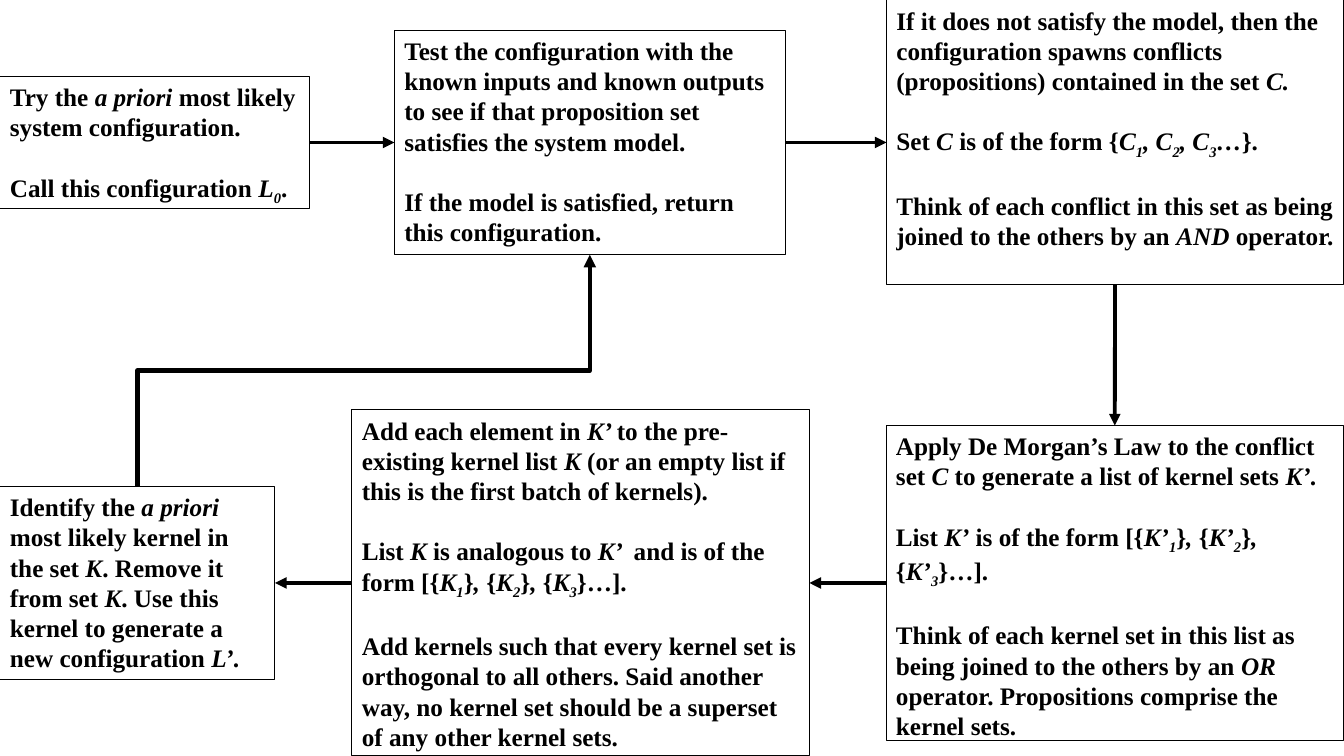
from dataclasses import dataclass

from lxml import etree
from pptx import Presentation
from pptx import util as u
from pptx.dml.color import RGBColor
from pptx.enum import shapes, text
from pptx.oxml.ns import qn


@dataclass(frozen=True)
class Theme:
    """Colours, type and line weights of the flowchart."""
    ink: RGBColor = RGBColor(0, 0, 0)
    font: str = "Times New Roman"
    size: float = 18
    gap: float = 21.5
    border: float = 0.75
    arrow: float = 2.75
    feedback: float = 3


THEME = Theme()
TOP, LEFT, BOTTOM, RIGHT = range(4)  # connection sites of a rectangle

# name: (left, top, width, height in cm), paragraphs
# *...* marks italics and ~...~ marks a subscript
STEPS = {
    "try": ((0, 1.93, 7.8, 3.32), [
        "Try the *a priori* most likely system configuration.",
        "Call this configuration *L~0~*.",
    ]),
    "test": ((9.94, 0.76, 9.85, 5.66), [
        "Test the configuration with the known inputs and known outputs to see "
        "if that proposition set satisfies the system model.",
        "If the model is satisfied, return this configuration.",
    ]),
    "conflicts": ((22.34, 0, 11.52, 7.18), [
        "If it does not satisfy the model, then the configuration spawns "
        "conflicts (propositions) contained in the set *C.*",
        "Set *C* is of the form {*C~1~, C~2~, C~3~…*}.",
        "Think of each conflict in this set as being joined to the others "
        "by an *AND* operator.",
    ]),
    "kernel sets": ((22.33, 10.72, 11.53, 7.94), [
        "Apply De Morgan’s Law to the conflict set *C *to generate a list of "
        "kernel sets *K’.*",
        "List *K’* is of the form [{*K’~1~*}*, *{*K’~2~*}*, *{*K’~3~*}…].",
        "Think of each kernel set in this list as being joined to the others "
        "by an *OR* operator. Propositions comprise the kernel sets.",
    ]),
    "kernel list": ((8.87, 10.33, 11.53, 8.72), [
        "Add each element in *K’ *to the pre-existing kernel list *K* (or an "
        "empty list if this is the first batch of kernels).",
        "List *K* is analogous to *K’ * and is of the form "
        "[{*K~1~*}*, *{*K~2~*}*, *{*K~3~*}…].",
        "Add kernels such that every kernel set is orthogonal to all others. "
        "Said another way, no kernel set should be a superset of any other "
        "kernel sets.",
    ]),
    "identify": ((0, 12.26, 6.93, 4.86), [
        "Identify the *a priori* most likely kernel in the set *K*. Remove it "
        "from set *K*. Use this kernel to generate a new configuration *L’.*",
    ]),
}

FLOW = [
    ("try", RIGHT, "test", LEFT),
    ("test", RIGHT, "conflicts", LEFT),
    ("conflicts", BOTTOM, "kernel sets", TOP),
    ("kernel sets", LEFT, "kernel list", RIGHT),
    ("kernel list", LEFT, "identify", RIGHT),
]


def add_span(para, words, italic, subscript):
    """Add one run in the theme's type."""
    span = para.add_run()
    span.text = words
    font = span.font
    font.name, font.size, font.bold = THEME.font, u.Pt(THEME.size), True
    font.italic = italic
    font.color.rgb = THEME.ink
    if subscript:
        font._element.set("baseline", "-25000")


def write_marked(para, marked):
    """Split marked wording into plain, italic and subscript runs."""
    for i, part in enumerate(marked.split("*")):
        for j, words in enumerate(part.split("~")):
            if words:
                add_span(para, words, i % 2 == 1, j % 2 == 1)


def add_step(page, bounds, paragraphs):
    """Add an outlined box whose paragraphs stand one line apart."""
    box = page.shapes.add_textbox(*(u.Cm(length) for length in bounds))
    box.line.color.rgb = THEME.ink
    box.line.width = u.Pt(THEME.border)
    frame = box.text_frame
    frame.word_wrap = True
    frame.vertical_anchor = text.MSO_ANCHOR.TOP
    for i, marked in enumerate(paragraphs):
        para = frame.add_paragraph() if i else frame.paragraphs[0]
        if i:
            para.space_before = u.Pt(THEME.gap)
        write_marked(para, marked)
    return box


def add_arrow(page, start, start_site, end, end_site, weight,
              kind=shapes.MSO_CONNECTOR.STRAIGHT):
    """Join two boxes with a connector that ends in a triangle."""
    arrow = page.shapes.add_connector(kind, 0, 0, 0, 0)
    arrow.begin_connect(start, start_site)
    arrow.end_connect(end, end_site)
    arrow.line.color.rgb = THEME.ink
    arrow.line.width = u.Pt(weight)
    etree.SubElement(arrow.line._get_or_add_ln(), qn("a:tailEnd"), type="triangle")
    etree.SubElement(arrow._element.spPr, qn("a:effectLst"))
    return arrow


def turn_upright(arrow):
    """Turn a rising elbow so that it leaves and arrives vertically."""
    width, height = arrow.width, arrow.height
    shift = (width - height) // 2
    arrow.left, arrow.top = arrow.left + shift, arrow.top - shift
    arrow.width, arrow.height = height, width
    frame = arrow._element.spPr.find(qn("a:xfrm"))
    for key, value in (("rot", "5400000"), ("flipH", "1"), ("flipV", "1")):
        frame.set(key, value)


def main():
    """Build the diagnosis loop and save it."""
    deck = Presentation()
    deck.slide_width, deck.slide_height = u.Cm(33.87), u.Cm(19.05)
    page = deck.slides.add_slide(deck.slide_layouts[6])
    boxes = {name: add_step(page, *step) for name, step in STEPS.items()}
    for start, start_site, end, end_site in FLOW:
        add_arrow(page, boxes[start], start_site, boxes[end], end_site, THEME.arrow)
    feedback = add_arrow(page, boxes["identify"], TOP, boxes["test"], BOTTOM,
                         THEME.feedback, shapes.MSO_CONNECTOR.ELBOW)
    turn_upright(feedback)
    deck.save("out.pptx")


main()
